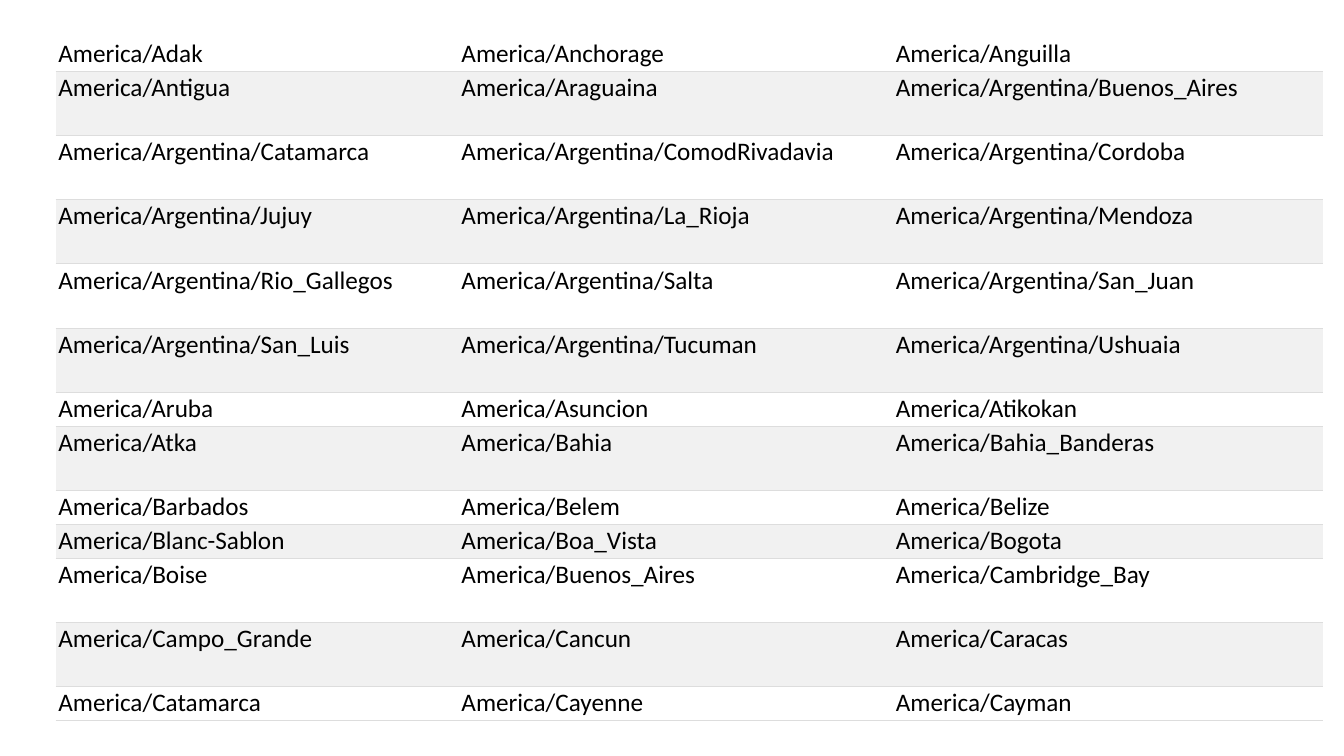
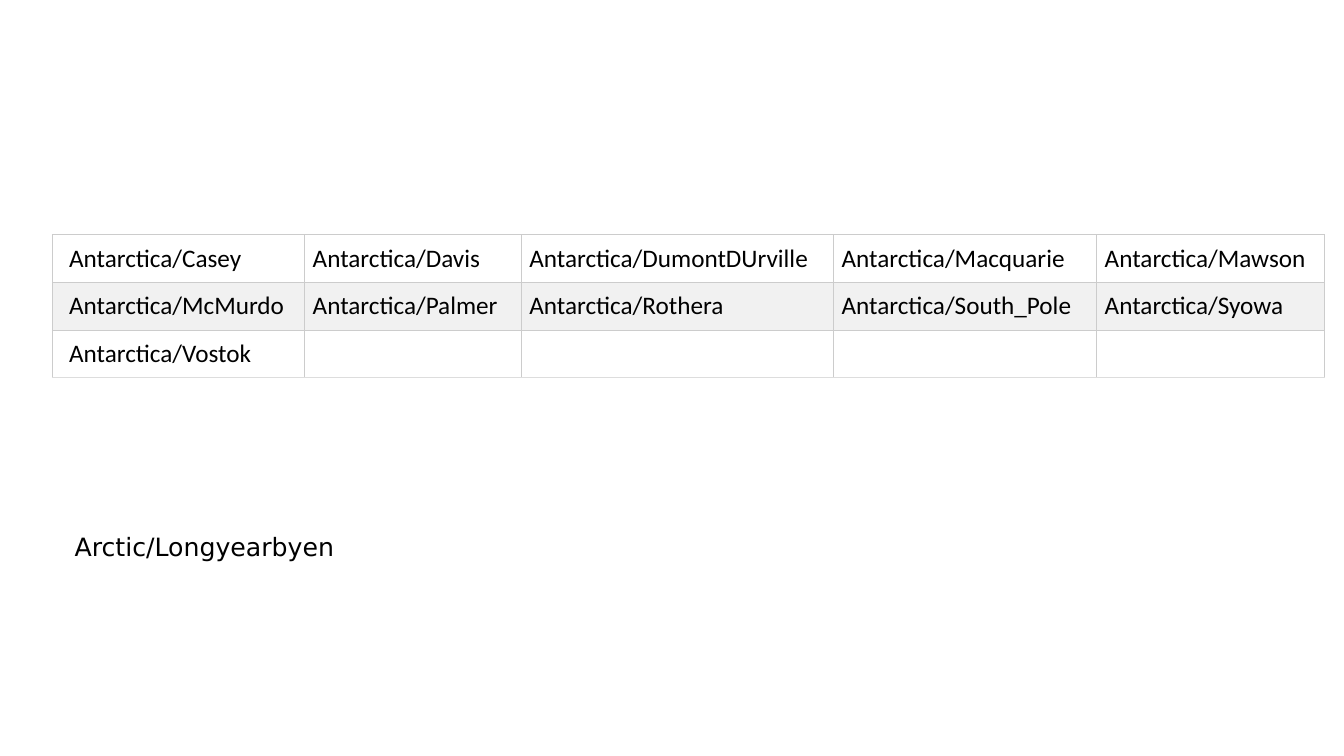
from dataclasses import dataclass

from lxml.etree import SubElement
from pptx import Presentation
from pptx.dml.color import RGBColor as Color
from pptx.enum.text import MSO_AUTO_SIZE as AutoSize
from pptx.oxml.ns import qn
from pptx.util import Cm, Pt


@dataclass(frozen=True)
class Theme:
    """Colours, fonts and sizes shared by the slides."""
    ink: str = "000000"
    stripes: tuple = ("FFFFFF", "F1F1F1")
    rule: str = "DDDDDD"
    grid: str = "CCCCCC"
    table_font: str = "Calibri"
    note_font: str = "DejaVu Sans"
    size: float = 18
    line: float = 0.75
    plain_table: str = "{2D5ABB26-0587-4C30-8999-92F81FD0307C}"


THEME = Theme()

AMERICA = """
Adak Anchorage Anguilla
Antigua Araguaina Argentina/Buenos_Aires
Argentina/Catamarca Argentina/ComodRivadavia Argentina/Cordoba
Argentina/Jujuy Argentina/La_Rioja Argentina/Mendoza
Argentina/Rio_Gallegos Argentina/Salta Argentina/San_Juan
Argentina/San_Luis Argentina/Tucuman Argentina/Ushuaia
Aruba Asuncion Atikokan
Atka Bahia Bahia_Banderas
Barbados Belem Belize
Blanc-Sablon Boa_Vista Bogota
Boise Buenos_Aires Cambridge_Bay
Campo_Grande Cancun Caracas
Catamarca Cayenne Cayman
"""

ANTARCTICA = """
Casey Davis DumontDUrville Macquarie Mawson
McMurdo Palmer Rothera South_Pole Syowa
Vostok
"""


def zone_rows(region, places):
    """Return rows of zone names, one row for each line of places."""
    return [[f"{region}/{place}" for place in line.split()]
            for line in places.strip().splitlines()]


def style_text(para, font):
    """Apply the shared text size and colour to the runs of a paragraph."""
    for span in para.runs:
        span.font.name = font
        span.font.size = Pt(THEME.size)
        span.font.color.rgb = Color.from_string(THEME.ink)


def add_borders(cell, borders):
    """Draw the cell edges given as a mapping from side to colour."""
    properties = cell._tc.get_or_add_tcPr()
    for side in "LRTB":
        if side in borders:
            edge = SubElement(properties, qn(f"a:ln{side}"), w=str(Pt(THEME.line)))
            fill = SubElement(edge, qn("a:solidFill"))
            SubElement(fill, qn("a:srgbClr"), val=borders[side])


def fill_cell(cell, text, stripe, borders, inset, left_inset):
    """Write and format one table cell."""
    cell.margin_left = Cm(left_inset)
    cell.margin_right = cell.margin_top = cell.margin_bottom = Cm(inset)
    add_borders(cell, borders)
    cell.fill.solid()
    cell.fill.fore_color.rgb = Color.from_string(stripe)
    if text:
        cell.text_frame.text = text
        style_text(cell.text_frame.paragraphs[0], THEME.table_font)


def add_zone_table(page, rows, left, top, widths, heights, inset, first_inset, borders, last_borders):
    """Add a striped table of zone names with a wider inset in the first column."""
    frame = page.shapes.add_table(len(rows), len(widths), Cm(left), Cm(top),
                                  Cm(sum(widths)), Cm(sum(heights)))
    table = frame.table
    table._tbl.tblPr.find(qn("a:tableStyleId")).text = THEME.plain_table
    for column, width in zip(table.columns, widths):
        column.width = Cm(width)
    for index, (names, height) in enumerate(zip(rows, heights)):
        table.rows[index].height = Cm(height)
        stripe = THEME.stripes[index % 2]
        edges = last_borders if index == len(rows) - 1 else borders
        for column in range(len(widths)):
            text = names[column] if column < len(names) else ""
            left_inset = inset if column else first_inset
            fill_cell(table.cell(index, column), text, stripe, edges, inset, left_inset)


def add_note(page, text, left, top, width, height):
    """Add a single line of text that does not wrap."""
    box = page.shapes.add_textbox(Cm(left), Cm(top), Cm(width), Cm(height))
    box.text_frame.word_wrap = False
    box.text_frame.auto_size = AutoSize.SHAPE_TO_FIT_TEXT
    box.text_frame.text = text
    style_text(box.text_frame.paragraphs[0], THEME.note_font)


def add_america(page):
    """Build the page of American zones."""
    rows = zone_rows("America", AMERICA)
    short_rows = {0, 6, 8, 9, 12}
    heights = [0.85 if index in short_rows else 1.62 for index in range(len(rows))]
    rule = {"B": THEME.rule}
    add_zone_table(page, rows, 1.4, 0.94, (10.2, 10.95, 10.8), heights,
                   0.03, 0.07, rule, rule)


def add_polar(page):
    """Build the page of Antarctic and Arctic zones."""
    rows = zone_rows("Antarctica", ANTARCTICA)
    grid = dict.fromkeys("LRTB", THEME.grid)
    add_zone_table(page, rows, 1.32, 5.92, (6.35, 5.46, 7.87, 6.63, 5.74),
                   [1.2] * len(rows), 0.21, 0.42, grid, {**grid, "B": THEME.rule})
    add_note(page, "Arctic/Longyearbyen", 1.63, 13.26, 7.14, 1.02)


def main():
    """Build and save the deck."""
    deck = Presentation()
    deck.slide_width, deck.slide_height = Cm(33.87), Cm(19.05)
    for build in (add_america, add_polar):
        build(deck.slides.add_slide(deck.slide_layouts[6]))
    deck.save("out.pptx")


if __name__ == "__main__":
    main()
